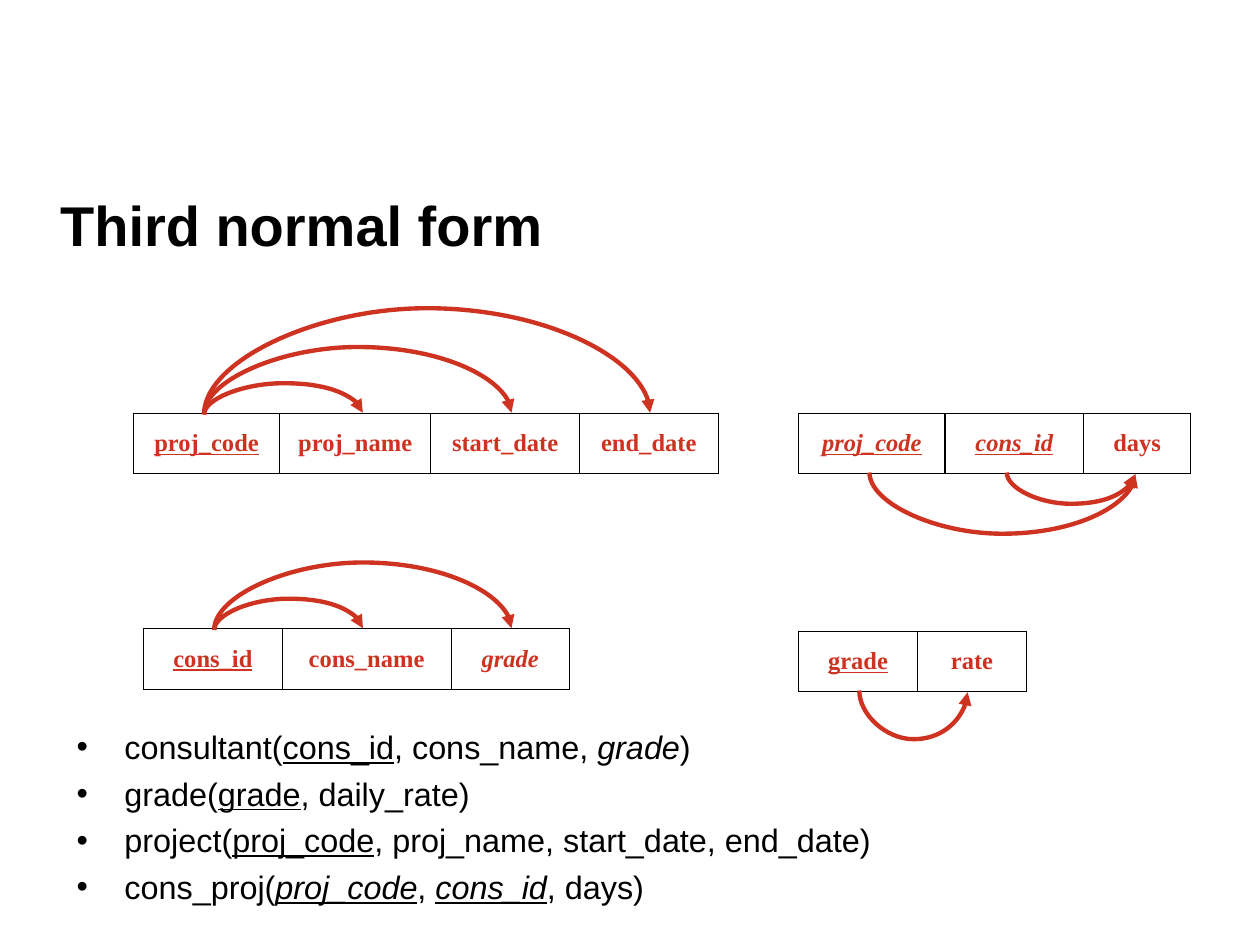
import pptx
import pptx.util
import pptx.dml.color
import pptx.enum.shapes
import pptx.enum.text
import pptx.oxml.ns
import lxml.etree

Inches, Pt = pptx.util.Inches, pptx.util.Pt
qn = pptx.oxml.ns.qn
COLORS = {"text": "000000", "accent": "CE3322", "cell": "FFFFFF", "border": "000000"}


def rgb(name):
    return pptx.dml.color.RGBColor.from_string(COLORS[name])


def add_node(parent, tag, **attributes):
    node = lxml.etree.SubElement(parent, qn(tag))
    for key, value in attributes.items():
        node.set(key, str(value))
    return node


class SchemaSlide:
    body_font = "Arial"
    cell_font = "Times New Roman"
    row_height = 0.48

    def __init__(self, slide):
        self.slide = slide

    def add_text(self, paragraph, text, size, font, color, style="", bold=False):
        run = paragraph.add_run()
        run.text = text
        run.font.size = Pt(size)
        run.font.name = font
        run.font.bold = bold
        run.font.italic = "i" in style
        run.font.underline = "u" in style
        run.font.color.rgb = rgb(color)

    def text_frame(self, left, top, width, height):
        box = self.slide.shapes.add_textbox(*map(Inches, (left, top, width, height)))
        box.text_frame.word_wrap = True
        return box.text_frame

    def title(self, text, *place):
        frame = self.text_frame(*place)
        frame.vertical_anchor = pptx.enum.text.MSO_ANCHOR.MIDDLE
        self.add_text(frame.paragraphs[0], text, 32, self.body_font, "text", bold=True)

    def bullets(self, lines, *place):
        frame = self.text_frame(*place)
        for index, runs in enumerate(lines):
            paragraph = frame.add_paragraph() if index else frame.paragraphs[0]
            paragraph.space_before = Pt(4.5)
            properties = paragraph._p.get_or_add_pPr()
            properties.set("marL", str(Inches(0.38)))
            properties.set("indent", str(-Inches(0.38)))
            add_node(properties, "a:buFont", typeface=self.body_font)
            add_node(properties, "a:buChar", char="•")
            for text, style in runs:
                self.add_text(paragraph, text, 18.5, self.body_font, "text", style)

    def border(self, cell):
        properties = cell._tc.get_or_add_tcPr()
        for position, side in enumerate(("a:lnL", "a:lnR", "a:lnT", "a:lnB")):
            line = lxml.etree.Element(qn(side), w=str(Pt(0.75)))
            fill = add_node(line, "a:solidFill")
            add_node(fill, "a:srgbClr", val=COLORS["border"])
            properties.insert(position, line)

    def relation(self, left, top, columns):
        width = sum(column[2] for column in columns)
        frame = self.slide.shapes.add_table(
            1, len(columns), *map(Inches, (left, top, width, self.row_height)))
        table = frame.table
        table.first_row = table.horz_banding = False
        for index, (name, style, column_width) in enumerate(columns):
            table.columns[index].width = Inches(column_width)
            cell = table.cell(0, index)
            cell.fill.solid()
            cell.fill.fore_color.rgb = rgb("cell")
            cell.vertical_anchor = pptx.enum.text.MSO_ANCHOR.MIDDLE
            cell.margin_left = cell.margin_right = Inches(0.05)
            cell.margin_top = cell.margin_bottom = Inches(0.05)
            paragraph = cell.text_frame.paragraphs[0]
            paragraph.alignment = pptx.enum.text.PP_ALIGN.CENTER
            self.add_text(paragraph, name, 14, self.cell_font, "accent", style, bold=True)
            self.border(cell)

    def dependency(self, start, end, edge, depth, above=True):
        rise, span = Pt(1), Inches(end - start)
        middle = Inches((start + end) / 2)
        center = Inches(edge) + (-rise if above else rise) // 2
        left, right = middle - rise // 2, middle + rise // 2
        low, high = center + span // 2, center - span // 2
        begin_y, end_y = (low, high) if above else (high, low)
        arrow = self.slide.shapes.add_connector(
            pptx.enum.shapes.MSO_CONNECTOR.CURVE, right, begin_y, left, end_y)
        arrow.line.color.rgb = rgb("accent")
        arrow.line.width = Pt(2.5)
        properties = arrow._element.spPr
        properties.find(qn("a:xfrm")).set("rot", str((90 if above else 270) * 60000))
        guides = properties.find(qn("a:prstGeom")).find(qn("a:avLst"))
        ratio = round(Inches(depth) / rise * 100000)
        add_node(guides, "a:gd", name="adj1", fmla=f"val {ratio}")
        add_node(properties.find(qn("a:ln")), "a:tailEnd", type="triangle")
        add_node(properties, "a:effectLst")


deck = pptx.Presentation()
deck.slide_width, deck.slide_height = Inches(10), Inches(7.5)
page = SchemaSlide(deck.slides.add_slide(deck.slide_layouts[6]))

page.title("Third normal form", 0.38, 1.4, 9.24, 0.76)
page.bullets([
    [("consultant(", ""), ("cons_id", "u"), (", cons_name,\u00a0", ""),
     ("grade", "i"), (")", "")],
    [("grade(", ""), ("grade", "u"), (", daily_rate)\u00a0", "")],
    [("project(", ""), ("proj_code", "u"), (", proj_name, start_date, end_date)", "")],
    [("cons_proj(", ""), ("proj_code", "iu"), (",\u00a0", ""),
     ("cons_id", "iu"), (", days)", "")],
], 0.51, 5.72, 9.06, 1.5)

relations = [
    (1.06, 3.28, [("proj_code", "u", 1.16), ("proj_name", "", 1.2),
                  ("start_date", "", 1.18), ("end_date", "", 1.1)]),
    (1.14, 4.99, [("cons_id", "u", 1.1), ("cons_name", "", 1.34), ("grade", "i", 0.94)]),
    (6.34, 3.28, [("proj_code", "iu", 1.16), ("cons_id", "iu", 1.1), ("days", "", 0.85)]),
    (6.34, 5.01, [("grade", "u", 0.94), ("rate", "", 0.87)]),
]
for relation in relations:
    page.relation(*relation)

dependencies = [
    (1.62, 2.88, 3.29, 0.25, True),
    (1.62, 4.06, 3.29, 0.54, True),
    (1.62, 5.16, 3.29, 0.85, True),
    (1.7, 2.88, 5, 0.25, True),
    (1.7, 4.06, 5, 0.54, True),
    (7.99, 9.01, 3.75, 0.25, False),
    (6.9, 9.01, 3.75, 0.49, False),
    (6.82, 7.68, 5.48, 0.39, False),
]
for dependency in dependencies:
    page.dependency(*dependency)

deck.save("out.pptx")
